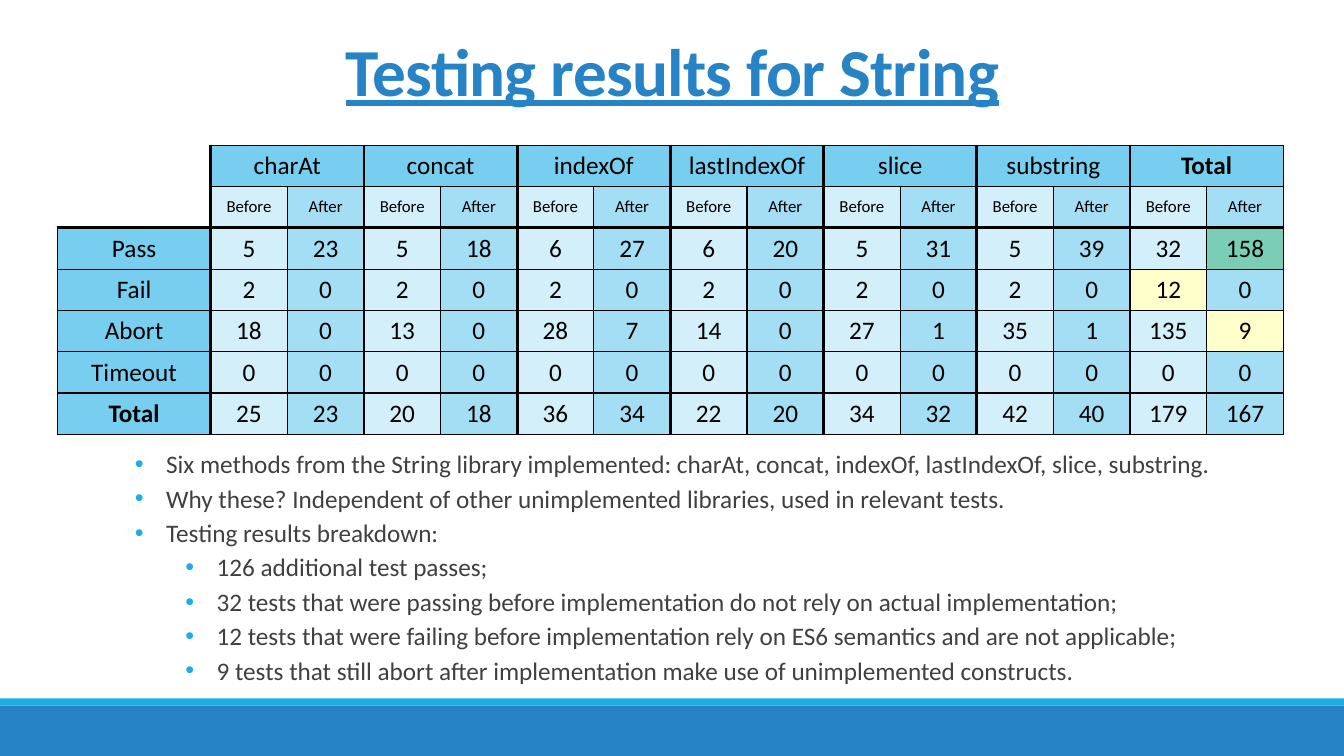
import pptx
import pptx.dml.color
import pptx.enum.shapes
import pptx.enum.text
import pptx.oxml
import pptx.oxml.ns
import pptx.util
from lxml import etree

Inches, Pt = pptx.util.Inches, pptx.util.Pt
PP_ALIGN, ANCHOR = pptx.enum.text.PP_ALIGN, pptx.enum.text.MSO_ANCHOR

TITLE = "Testing results for String"
METHODS = ["charAt", "concat", "indexOf", "lastIndexOf", "slice", "substring", "Total"]
PHASES = ["Before", "After"]
RESULTS = [
    ("Pass", [5, 23, 5, 18, 6, 27, 6, 20, 5, 31, 5, 39, 32, 158]),
    ("Fail", [2, 0, 2, 0, 2, 0, 2, 0, 2, 0, 2, 0, 12, 0]),
    ("Abort", [18, 0, 13, 0, 28, 7, 14, 0, 27, 1, 35, 1, 135, 9]),
    ("Timeout", [0] * 14),
    ("Total", [25, 23, 20, 18, 36, 34, 22, 20, 34, 32, 42, 40, 179, 167]),
]
FINDINGS = [
    (0, "Six methods from the String library implemented: charAt, concat, indexOf, "
        "lastIndexOf, slice, substring."),
    (0, "Why these? Independent of other unimplemented libraries, used in relevant tests."),
    (0, "Testing results breakdown:"),
    (1, "126 additional test passes;"),
    (1, "32 tests that were passing before implementation do not rely on actual implementation;"),
    (1, "12 tests that were failing before implementation rely on ES6 semantics "
        "and are not applicable;"),
    (1, "9 tests that still abort after implementation make use of unimplemented constructs."),
]
BLUE, CYAN, BLACK, GREY = "2683C6", "1CADE4", "000000", "404040"
HEADING_FILL, BEFORE_FILL, AFTER_FILL = "77CEEF", "D2EFFA", "A4DEF4"
# (row, column): colour and opacity in percent
HIGHLIGHTS = {(2, 14): ("42BA97", 70), (3, 13): ("FFFF00", 20), (4, 14): ("FFFF00", 20)}
BANDS = [(7, 0.5, BLUE), (6.93, 0.07, CYAN)]
LABEL_WIDTH, VALUE_WIDTH, ROW_HEIGHT = 1.52, 0.76, 0.41
THIN, THICK = 1, 2.25


def paint(colour_format, colour):
    colour_format.rgb = pptx.dml.color.RGBColor.from_string(colour)


def fill_solid(fill, colour):
    fill.solid()
    paint(fill.fore_color, colour)


def add_run(paragraph, text, size, colour, bold=False):
    run = paragraph.add_run()
    run.text = text
    run.font.name = "Calibri"
    run.font.size = Pt(size)
    run.font.bold = bold
    paint(run.font.color, colour)
    return run


def add_element(parent, tag, **attributes):
    element = etree.SubElement(parent, pptx.oxml.ns.qn(tag))
    for name, value in attributes.items():
        element.set(name, str(value))
    return element


def draw_border(cell, side, width):
    line = add_element(cell._tc.get_or_add_tcPr(), "a:ln" + side, w=Pt(width))
    add_element(add_element(line, "a:solidFill"), "a:srgbClr", val=BLACK)


def column_edge(column):
    """Width of the rule left of a column: thick around each method's pair."""
    return THICK if column % 2 and column < 15 else THIN


def row_edge(row):
    """Width of the rule above a row: thick below the headings and above the totals."""
    return THICK if row in (2, 6) else THIN


def format_cell(cell, row, column, text):
    span = 2 if row == 0 else 1
    for side, width in (("L", column_edge(column)), ("R", column_edge(column + span)),
                        ("T", row_edge(row)), ("B", row_edge(row + 1))):
        draw_border(cell, side, width)

    if row == 0 or column == 0:
        colour, opacity = HEADING_FILL, 100
    else:
        phase_fill = BEFORE_FILL if column % 2 else AFTER_FILL
        colour, opacity = HIGHLIGHTS.get((row, column), (phase_fill, 100))
    fill_solid(cell.fill, colour)
    if opacity < 100:
        swatch = cell._tc.tcPr.find(pptx.oxml.ns.qn("a:solidFill"))[0]
        add_element(swatch, "a:alpha", val=opacity * 1000)

    cell.vertical_anchor = ANCHOR.MIDDLE
    paragraph = cell.text_frame.paragraphs[0]
    paragraph.alignment = PP_ALIGN.CENTER
    add_run(paragraph, text, 12 if row == 1 else 18, BLACK, bold=text == "Total")


def add_bands(slide):
    for top, height, colour in BANDS:
        band = slide.shapes.add_shape(pptx.enum.shapes.MSO_SHAPE.RECTANGLE, 0, Inches(top),
                                      Inches(13.33), Inches(height))
        band.shadow.inherit = False
        fill_solid(band.fill, colour)
        band.line.fill.background()


def add_title(slide):
    title = slide.shapes.title
    title.left, title.top = Inches(1.17), Inches(0.26)
    title.width, title.height = Inches(11), Inches(0.88)
    title.text_frame.vertical_anchor = ANCHOR.BOTTOM
    paragraph = title.text_frame.paragraphs[0]
    paragraph.alignment = PP_ALIGN.CENTER
    paragraph.line_spacing = 0.85
    heading = add_run(paragraph, TITLE, 48, BLUE, bold=True)
    heading.font.underline = True
    heading.font._element.set("spc", "-50")


def add_results(slide):
    rows = [[None] + [text for method in METHODS for text in (method, None)],
            [None] + PHASES * len(METHODS)]
    rows += [[label] + [str(count) for count in counts] for label, counts in RESULTS]
    columns = len(rows[0])
    results = slide.shapes.add_table(
        len(rows), columns, Inches(0.57), Inches(1.44),
        Inches(LABEL_WIDTH + VALUE_WIDTH * (columns - 1)), Inches(ROW_HEIGHT * len(rows))).table
    results.first_row = results.horz_banding = False
    for index, column in enumerate(results.columns):
        column.width = Inches(VALUE_WIDTH if index else LABEL_WIDTH)
    for row in results.rows:
        row.height = Inches(ROW_HEIGHT)

    for first in range(1, columns, 2):
        results.cell(0, first).merge(results.cell(0, first + 1))
    for row, texts in enumerate(rows):
        for column, text in enumerate(texts):
            cell = results.cell(row, column)
            if text is not None:
                format_cell(cell, row, column, text)
            elif column == 0:
                draw_border(cell, "R", THICK)
                if row == 1:
                    draw_border(cell, "B", THICK)
                cell.fill.background()


def add_findings(slide):
    findings = slide.shapes.add_textbox(Inches(1.14), Inches(4.4), Inches(11.06), Inches(2.47))
    frame = findings.text_frame
    frame.word_wrap = True
    for index, (level, text) in enumerate(FINDINGS):
        paragraph = frame.add_paragraph() if index else frame.paragraphs[0]
        paragraph.level = level
        paragraph.space_after = Pt(3)
        properties = paragraph._p.get_or_add_pPr()
        properties.set("marL", str(Inches(0.41 + 0.5 * level)))
        properties.set("indent", str(Inches(-0.31)))
        add_element(add_element(properties, "a:buClr"), "a:srgbClr", val=CYAN)
        add_element(properties, "a:buFont", typeface="Arial")
        add_element(properties, "a:buChar", char="•")
        add_run(paragraph, text, 18, GREY)


def main():
    deck = pptx.Presentation()
    deck.slide_width, deck.slide_height = Inches(13.33), Inches(7.5)
    slide = deck.slides.add_slide(deck.slide_layouts[5])
    add_bands(slide)
    add_title(slide)
    add_results(slide)
    add_findings(slide)
    deck.save("out.pptx")


if __name__ == "__main__":
    main()
